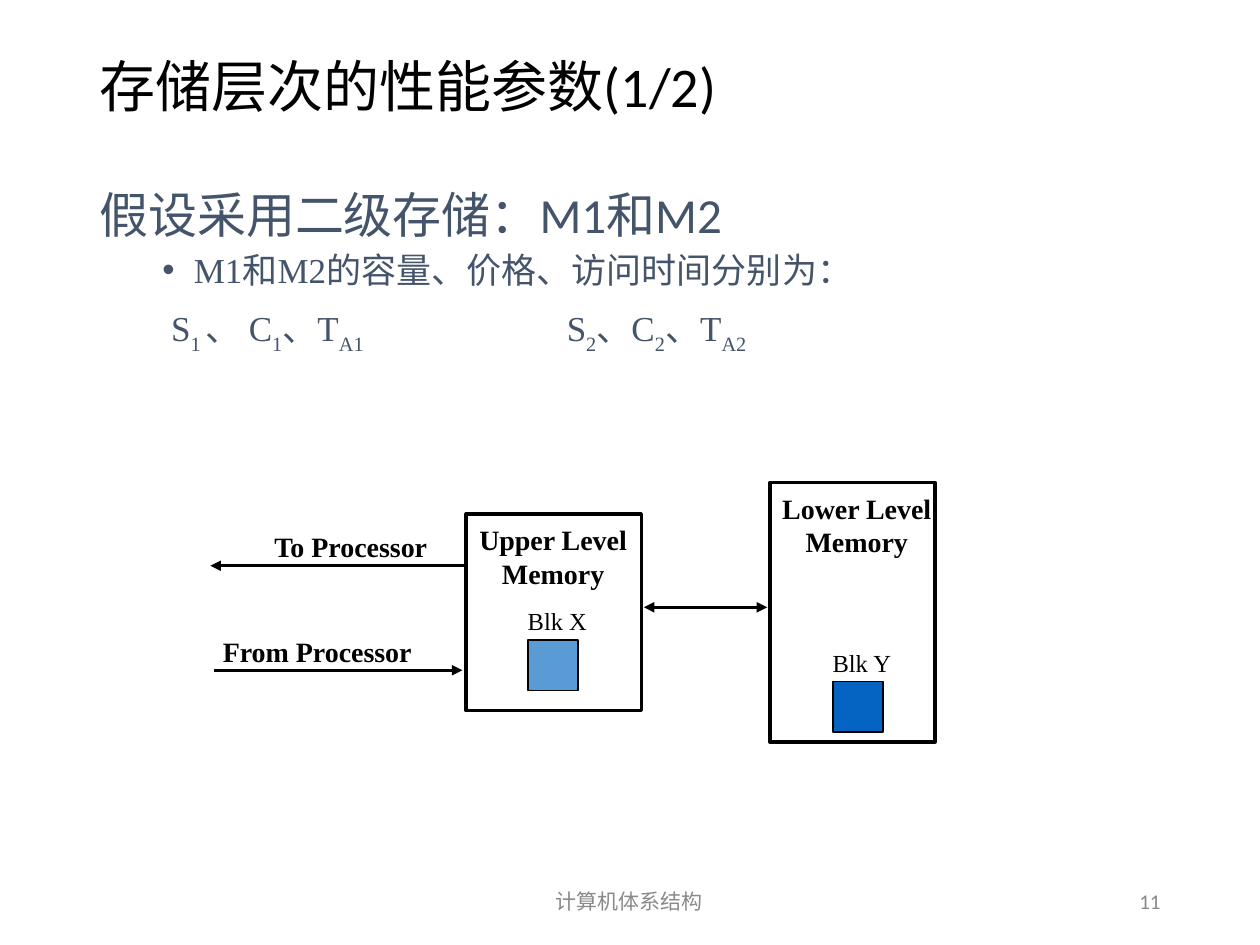
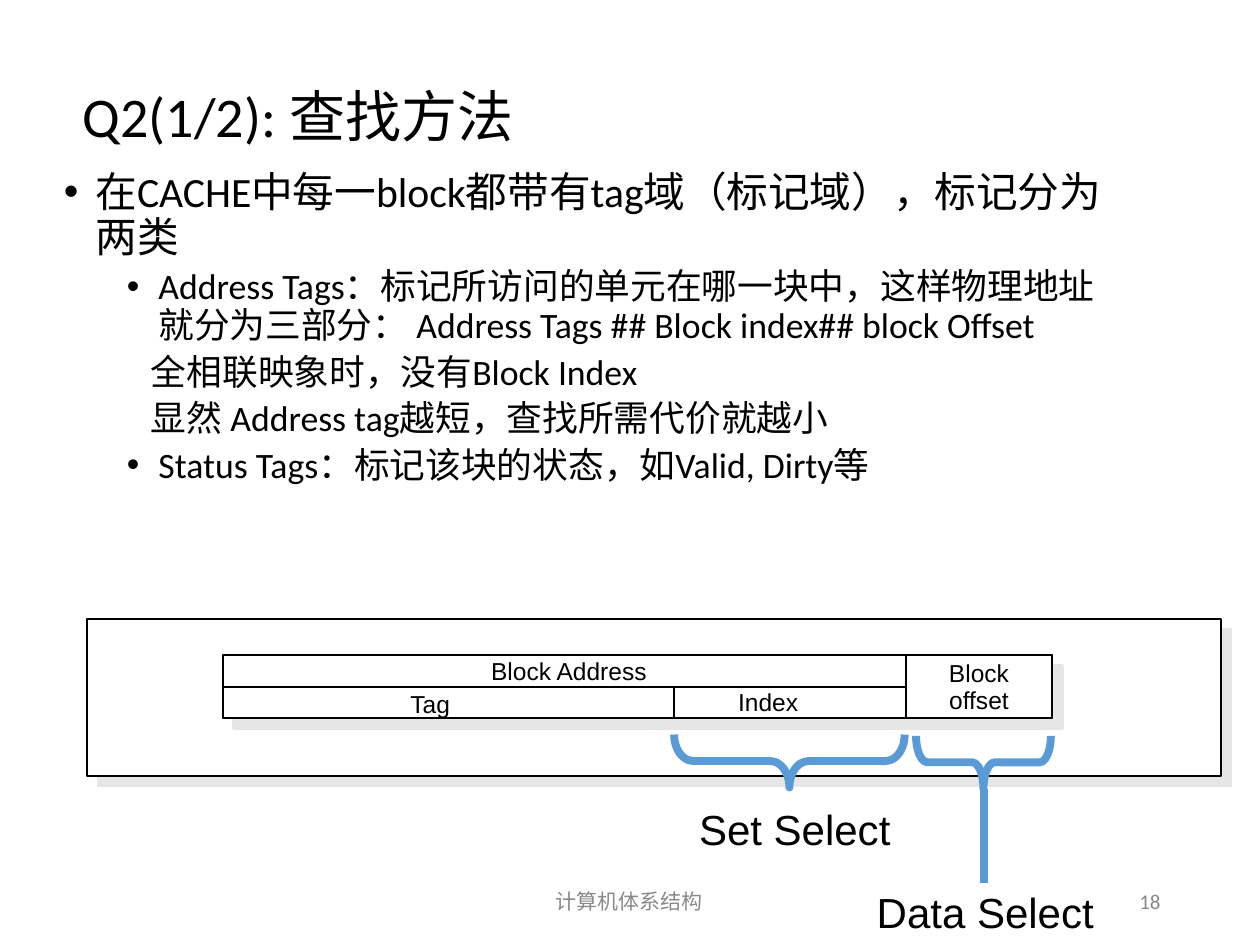
from pptx import Presentation
from pptx.dml.color import RGBColor
from pptx.enum.shapes import MSO_CONNECTOR, MSO_SHAPE as SHAPE
from pptx.enum.text import MSO_ANCHOR as ANCHOR, MSO_AUTO_SIZE as FIT, PP_ALIGN as ALIGN
from pptx.oxml.ns import qn
from pptx.util import Inches, Pt
from lxml.etree import SubElement

BLACK, WHITE, SLATE, GREY = "000000", "FFFFFF", "44546A", "898989"
SKY, BLUE, SHADE = "5B9BD5", "0563C1", "E7E6E6"
SANS, SERIF, LABEL = "Calibri", "Times New Roman", "Arial"

TITLE = dict(name=SANS, size=Pt(32))
FOOTER = dict(name=SANS, size=Pt(12))
DIAGRAM = dict(name=SERIF, size=Pt(16), bold=True)
BLOCK = dict(name=SERIF, size=Pt(14))
FIELD = dict(name=LABEL, size=Pt(14))
SELECT = dict(name=LABEL, size=Pt(24))


def rgb(color):
    return RGBColor.from_string(color)


def inside(box, x, y, w=0, h=0):
    """Turn a place relative to box into a place on the slide."""
    return box[0] + x, box[1] + y, w, h


# ---- Basic parts ----
def add_runs(paragraph, content, style, color):
    """Write content; every second piece between bars is a subscript."""
    for i, piece in enumerate(content.split("|")):
        if not piece:
            continue
        run = paragraph.add_run()
        run.text = piece
        for key, value in style.items():
            setattr(run.font, key, value)
        run.font.color.rgb = rgb(color)
        if i % 2:
            run.font._element.set("baseline", "-30000")


def set_indent(paragraph, margin, first, bullet_color=None):
    props = paragraph._p.get_or_add_pPr()
    props.set("marL", str(Inches(margin)))
    props.set("indent", str(Inches(first)))
    if bullet_color:
        SubElement(SubElement(props, qn("a:buClr")), qn("a:srgbClr"), val=bullet_color)
        SubElement(props, qn("a:buFont"), typeface=LABEL)
        SubElement(props, qn("a:buChar"), char="•")


def add_frame(slide, box, anchor=ANCHOR.TOP):
    frame = slide.shapes.add_textbox(*map(Inches, box)).text_frame
    frame.word_wrap = True
    frame.auto_size = FIT.NONE
    frame.vertical_anchor = anchor
    return frame


def add_label(slide, box, lines, style, color=BLACK, align=ALIGN.LEFT,
              anchor=ANCHOR.TOP, spacing=None):
    frame = add_frame(slide, box, anchor)
    for i, line in enumerate(lines.split("\n")):
        paragraph = frame.add_paragraph() if i else frame.paragraphs[0]
        paragraph.alignment = align
        paragraph.line_spacing = spacing
        add_runs(paragraph, line, style, color)


def add_body(slide, box, items, color):
    """Each item is (content, style, space before, indent settings)."""
    frame = add_frame(slide, box)
    for i, (content, style, before, indent) in enumerate(items):
        paragraph = frame.add_paragraph() if i else frame.paragraphs[0]
        paragraph.line_spacing = 0.9
        paragraph.space_before = Pt(before if i else 0)
        set_indent(paragraph, *indent)
        add_runs(paragraph, content, style, color)


def add_outline(slide, box, width, fill=None, line=BLACK, kind=SHAPE.RECTANGLE, shaded=False):
    shape = slide.shapes.add_shape(kind, *map(Inches, box))
    shape.shadow.inherit = False
    if fill:
        shape.fill.solid()
        shape.fill.fore_color.rgb = rgb(fill)
    else:
        shape.fill.background()
    shape.line.color.rgb = rgb(line)
    shape.line.width = Pt(width)
    if shaded:
        effects = shape._element.spPr.find(qn("a:effectLst"))
        shadow = SubElement(effects, qn("a:outerShdw"), dist=str(Pt(8.5)),
                            dir="2700000", algn="ctr", rotWithShape="0")
        SubElement(shadow, qn("a:srgbClr"), val=SHADE)
    return shape


def add_line(slide, start, end, width=2, color=BLACK, heads=()):
    line = slide.shapes.add_connector(MSO_CONNECTOR.STRAIGHT,
                                      *map(Inches, start[:2] + end[:2]))
    line.line.color.rgb = rgb(color)
    line.line.width = Pt(width)
    outline = line.line._get_or_add_ln()
    for head in heads:
        SubElement(outline, qn(f"a:{head}"), type="triangle")
    SubElement(line._element.spPr, qn("a:effectLst"))


def new_slide(deck, title, title_box, number):
    slide = deck.slides.add_slide(deck.slide_layouts[6])
    add_label(slide, title_box, title, TITLE, anchor=ANCHOR.MIDDLE, spacing=0.9)
    for box, content, align in (((3.31, 6.95, 3.37, 0.4), "计算机体系结构", ALIGN.CENTER),
                                ((7.06, 6.95, 2.25, 0.4), str(number), ALIGN.RIGHT)):
        add_label(slide, box, content, FOOTER, GREY, align, ANCHOR.MIDDLE)
    return slide


# ---- Slide 1: memory levels ----
def draw_level(slide, box, name, block, block_at, fill):
    add_outline(slide, box, 2)
    add_label(slide, inside(box, -0.11, 0.02, 1.6, 0.63), name, DIAGRAM, align=ALIGN.CENTER)
    x, y = block_at
    add_outline(slide, inside(box, x, y, 0.4, 0.4), 1, fill)
    add_label(slide, inside(box, x - 0.1, y - 0.32, 0.8, 0.33), block, BLOCK)


def draw_hierarchy(slide, box):
    draw_level(slide, inside(box, 2.03, 0.25, 1.39, 1.56),
               "Upper Level\nMemory", "Blk X", (0.49, 1), SKY)
    draw_level(slide, inside(box, 4.44, 0, 1.31, 2.06),
               "Lower Level\nMemory", "Blk Y", (0.5, 1.58), BLUE)
    # Data paths
    for start, end, y, heads in ((2.03, 0, 0.66, ["tailEnd"]),
                                 (0.03, 2, 1.49, ["tailEnd"]),
                                 (3.44, 4.42, 0.99, ["headEnd", "tailEnd"])):
        add_line(slide, inside(box, start, y), inside(box, end, y), heads=heads)
    add_label(slide, inside(box, 0.41, 0.32, 1.6, 0.36), "To Processor", DIAGRAM)
    add_label(slide, inside(box, 0, 1.16, 1.9, 0.36), "From Processor", DIAGRAM)


def draw_parameters(slide, box):
    head = dict(name=SANS, size=Pt(28))
    detail = dict(name=SERIF, size=Pt(20))
    add_body(slide, box, [
        ("假设采用二级存储：M1和M2", head, 0, (0.25, -0.25)),
        ("M1和M2的容量、价格、访问时间分别为：", detail, 5, (0.75, -0.25, SLATE)),
    ], SLATE)
    # One group of symbols for each level
    for x, symbols in ((0.57, "S|1 |、 C|1|、T|A1"), (3.71, "S|2|、C|2|、T|A2")):
        add_label(slide, inside(box, x, 0.91, 2.6, 0.45), symbols, detail, SLATE, spacing=0.9)


def build_parameters(deck):
    slide = new_slide(deck, "存储层次的性能参数(1/2)", (0.69, 0.21, 8.63, 0.99), 11)
    draw_parameters(slide, (0.69, 1.47, 8.63, 1.36))
    draw_hierarchy(slide, (1.67, 3.83, 5.75, 2.06))


# ---- Slide 2: address fields ----
def draw_brace(slide, box, x, y, length, depth=0.42):
    """Draw a brace that spans length from (x, y) and points down."""
    upright = inside(box, x + (length - depth) / 2, y + (depth - length) / 2, depth, length)
    brace = add_outline(slide, upright, 4.5, line=SKY, kind=SHAPE.RIGHT_BRACE)
    brace.rotation = 90
    brace.adjustments[0] = length / 12 / depth


def draw_address(slide, box):
    left, index, offset, right = 1.08, 4.66, 6.5, 7.66
    top, half = 0.29, 0.25
    add_outline(slide, box, 1, WHITE, shaded=True)
    add_outline(slide, inside(box, left, top, right - left, 2 * half), 1.5, WHITE, shaded=True)
    # Fields
    for start, end, y, h in ((left, offset, top + half, half),
                             (index, offset, top + half, half),
                             (offset, right, top, 2 * half)):
        add_outline(slide, inside(box, start, y, end - start, h), 1)
    add_label(slide, inside(box, offset, top, right - offset, 0.52), "Block\noffset", FIELD,
              align=ALIGN.CENTER, spacing=0.9)
    for name, x, y, w in (("Block Address", 3.11, 0.25, 1.8),
                          ("Tag", 2.47, 0.51, 1),
                          ("Index", 5.07, 0.49, 1)):
        add_label(slide, inside(box, x, y, w, 0.34), name, FIELD)
    # Selections
    draw_brace(slide, box, index, 0.92, 1.83)
    draw_brace(slide, box, 6.58, 0.93, 1.07)
    add_line(slide, inside(box, 7.12, 1.35), inside(box, 7.12, 2.1), 4.5, SKY)
    add_label(slide, inside(box, 4.76, 1.42, 2, 0.5), "Set Select", SELECT)
    add_label(slide, inside(box, 6.03, 2.08, 2.2, 0.5), "Data Select", SELECT,
              align=ALIGN.CENTER)


def build_lookup(deck):
    slide = new_slide(deck, "Q2(1/2): 查找方法", (0.56, 0.4, 8.75, 1.09), 18)
    head = dict(name=SANS, size=Pt(23.8))
    detail = dict(name=SANS, size=Pt(20.4))
    bullet, plain = (0.75, -0.25, BLACK), (0.75, -0.06)
    add_body(slide, (0.41, 1.31, 8.46, 2.99), [
        ("在CACHE中每一block都带有tag域（标记域），标记分为两类", head, 0, (0.25, -0.25, BLACK)),
        ("Address Tags：标记所访问的单元在哪一块中，这样物理地址就分为三部分： "
         "Address Tags ## Block index## block Offset", detail, 4.5, bullet),
        ("全相联映象时，没有Block Index", detail, 4.5, plain),
        ("显然 Address tag越短，查找所需代价就越小", detail, 4.5, plain),
        ("Status Tags：标记该块的状态，如Valid, Dirty等", detail, 4.5, bullet),
    ], BLACK)
    draw_address(slide, (0.69, 4.91, 9, 1.25))


def main():
    deck = Presentation()
    deck.slide_width, deck.slide_height = Inches(10), Inches(7.5)
    build_parameters(deck)
    build_lookup(deck)
    deck.save("out.pptx")


if __name__ == "__main__":
    main()
